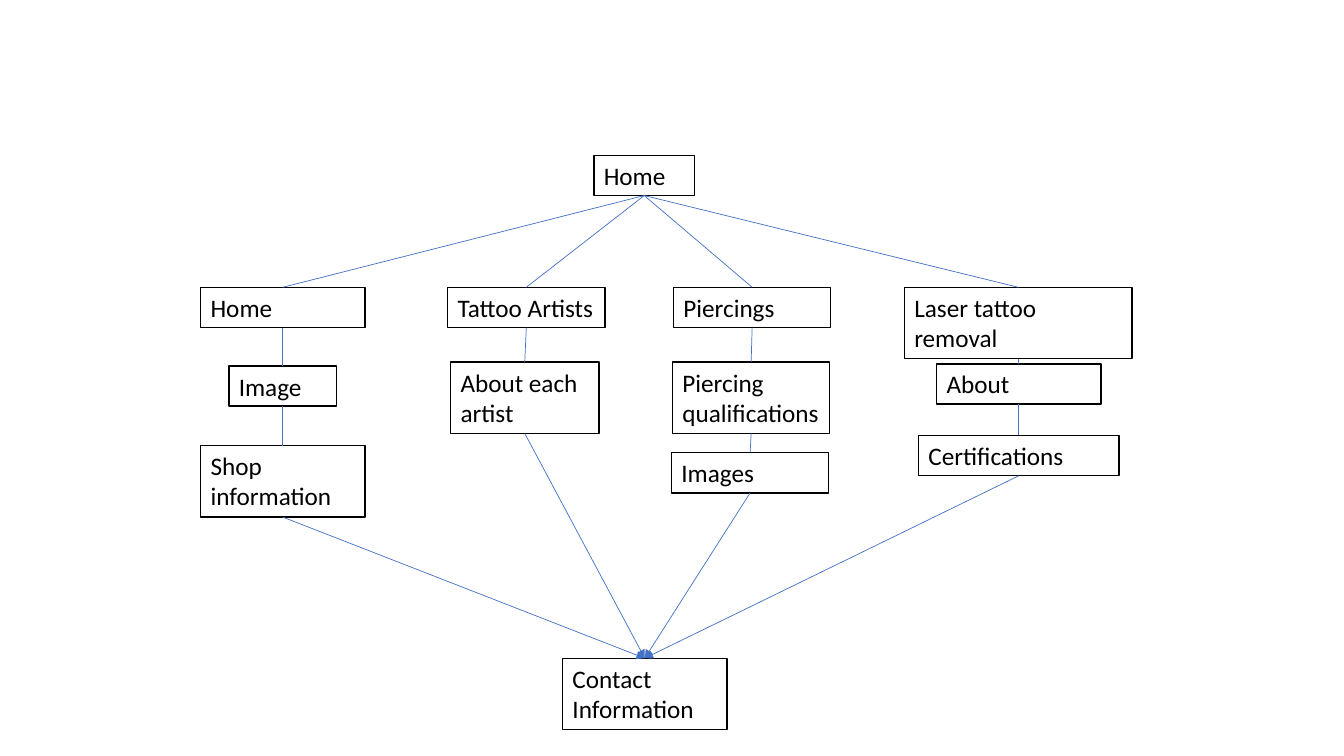
from lxml import etree
from pptx import Presentation
from pptx import util as u
from pptx.dml.color import RGBColor
from pptx.enum import shapes, text
from pptx.oxml import ns

COLOURS = {"paper": "FFFFFF", "ink": "000000", "link": "4472C4"}
ONE_LINE, TWO_LINES = 0.4, 0.71
TOP_SITE, BOTTOM_SITE = 0, 2

deck = Presentation()
deck.slide_width, deck.slide_height = u.Inches(13.33), u.Inches(7.5)
page = deck.slides.add_slide(deck.slide_layouts[6])


def add_label(words, *, left, top, width, height=ONE_LINE, size=18, font="Calibri"):
    """Add an outlined text box and return it."""
    box = page.shapes.add_textbox(*map(u.Inches, (left, top, width, height)))
    box.fill.solid()
    box.fill.fore_color.rgb = RGBColor.from_string(COLOURS["paper"])
    box.line.color.rgb = RGBColor.from_string(COLOURS["ink"])
    box.line.width = u.Pt(1)
    frame = box.text_frame
    frame.word_wrap = True
    frame.auto_size = text.MSO_AUTO_SIZE.SHAPE_TO_FIT_TEXT
    span = frame.paragraphs[0].add_run()
    span.text = words
    span.font.name, span.font.size = font, u.Pt(size)
    span.font.color.rgb = RGBColor.from_string(COLOURS["ink"])
    return box


def link(upper, lower, arrow=False):
    """Join the bottom of one box to the top of another."""
    line = page.shapes.add_connector(shapes.MSO_CONNECTOR.STRAIGHT, 0, 0, 0, 0)
    line.begin_connect(upper, BOTTOM_SITE)
    line.end_connect(lower, TOP_SITE)
    line.line.color.rgb = RGBColor.from_string(COLOURS["link"])
    line.line.width = u.Pt(0.5)
    if arrow:
        etree.SubElement(line.line._get_or_add_ln(), ns.qn("a:tailEnd"), type="triangle")
    etree.SubElement(line._element.spPr, ns.qn("a:effectLst"))


home = add_label("Home", left=5.89, top=1.54, width=1)
contact = add_label("Contact Information", left=5.58, top=6.53, width=1.63, height=TWO_LINES)

# Each branch runs from top to bottom: words, left, top, width, height
branches = [
    [("Home", 1.99, 2.85, 1.63, ONE_LINE),
     ("Image", 2.27, 3.63, 1.07, ONE_LINE),
     ("Shop information", 1.99, 4.42, 1.63, TWO_LINES)],
    [("Tattoo Artists", 4.44, 2.85, 1.56, ONE_LINE),
     ("About each artist", 4.47, 3.59, 1.47, TWO_LINES)],
    [("Piercings", 6.68, 2.85, 1.56, ONE_LINE),
     ("Piercing qualifications", 6.67, 3.59, 1.56, TWO_LINES),
     ("Images", 6.66, 4.49, 1.56, ONE_LINE)],
    [("Laser tattoo removal", 8.97, 2.85, 2.26, TWO_LINES),
     ("About", 9.29, 3.61, 1.63, ONE_LINE),
     ("Certifications", 9.11, 4.32, 1.99, ONE_LINE)],
]

for branch in branches:
    above = home
    for words, left, top, width, height in branch:
        box = add_label(words, left=left, top=top, width=width, height=height)
        link(above, box)
        above = box
    link(above, contact, arrow=True)

deck.save("out.pptx")
